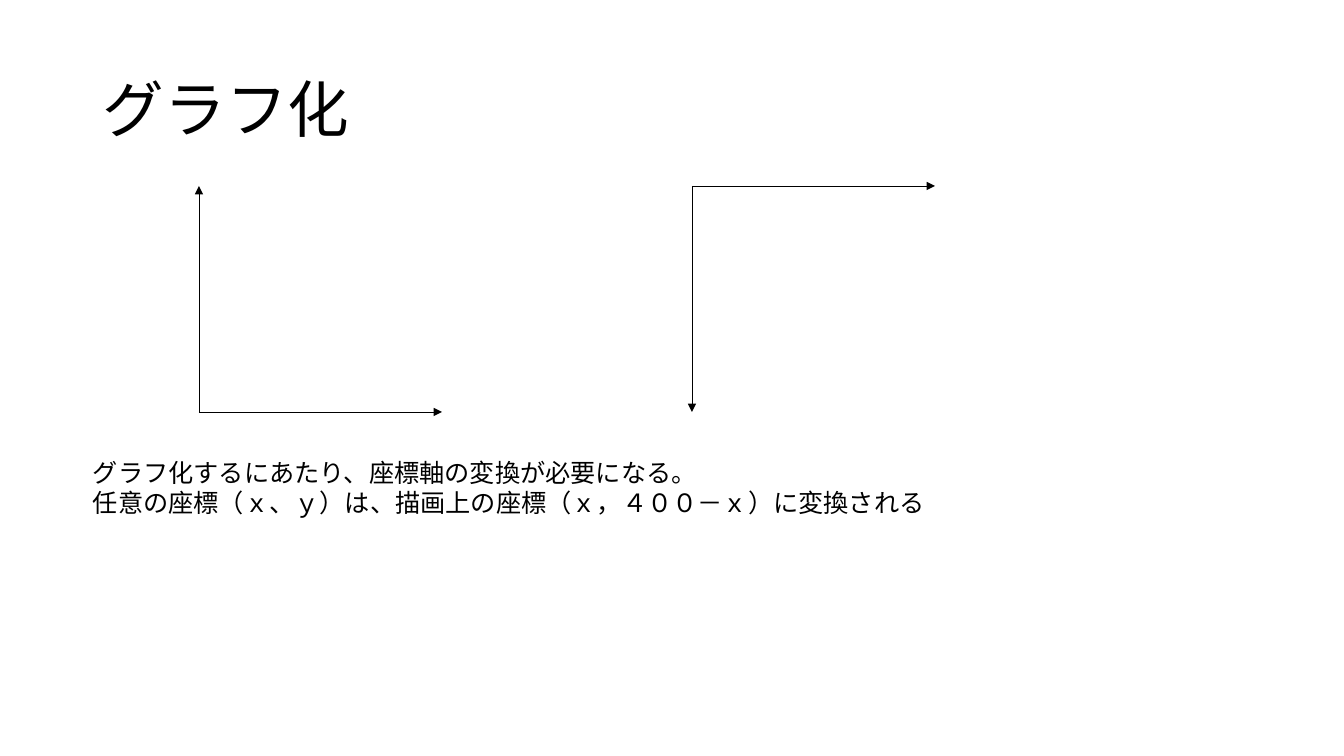
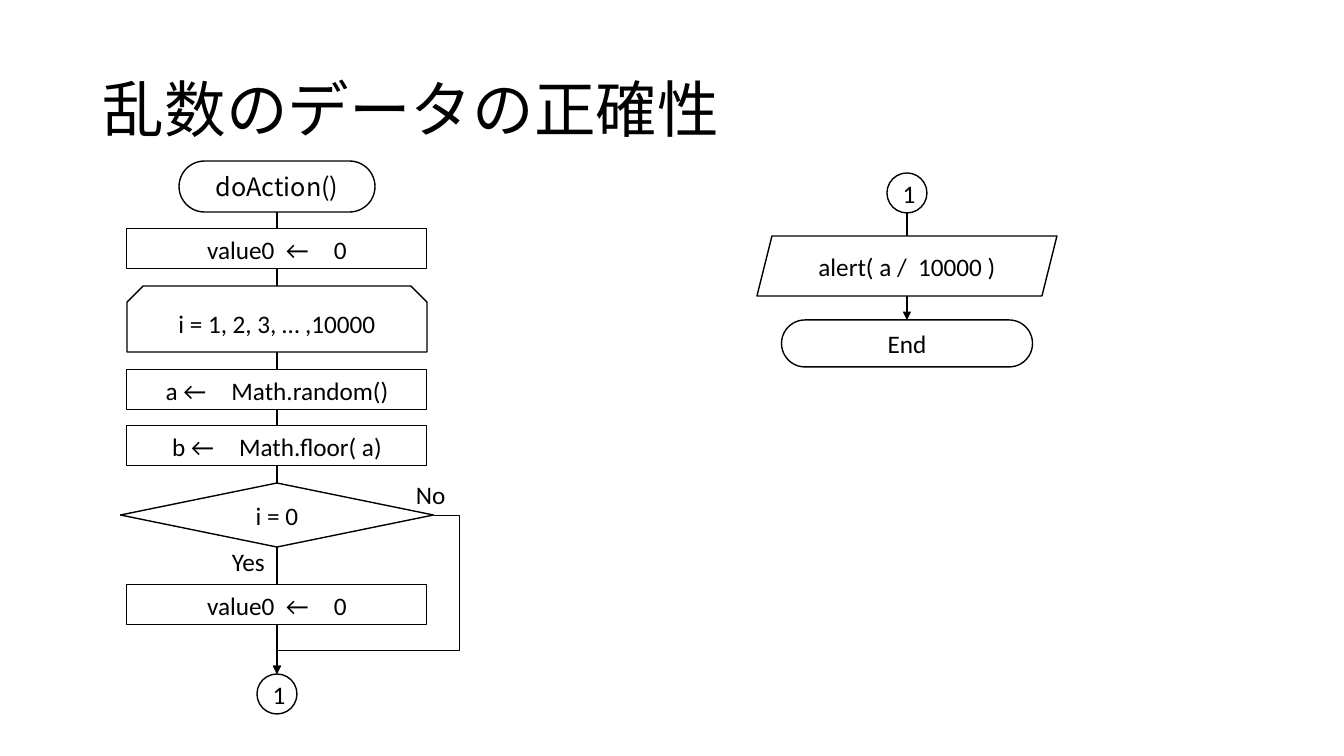
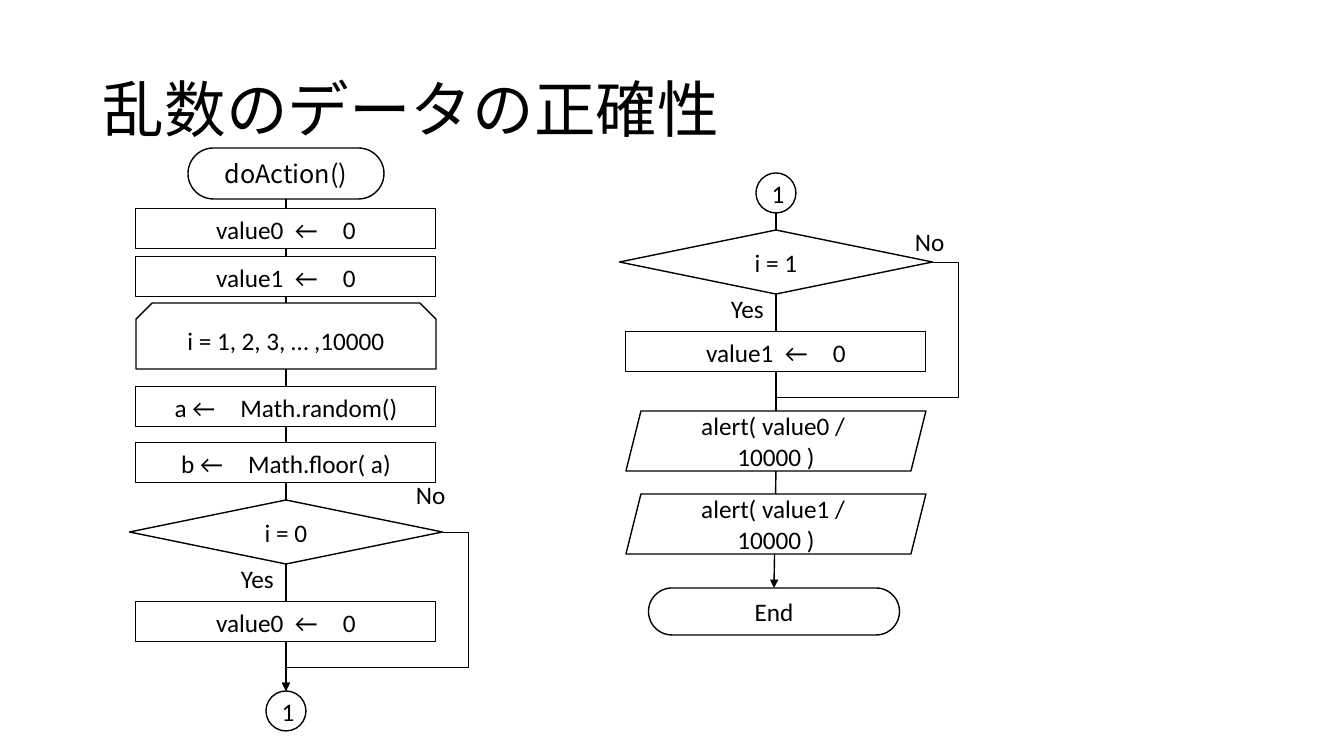
from lxml import etree
from pptx import Presentation
from pptx.dml.color import RGBColor
from pptx.enum.shapes import MSO_CONNECTOR, MSO_SHAPE
from pptx.enum.text import MSO_ANCHOR, PP_ALIGN
from pptx.oxml.ns import qn
from pptx.util import Emu, Pt

STRAIGHT, ELBOW = MSO_CONNECTOR.STRAIGHT, MSO_CONNECTOR.ELBOW
TERMINAL = MSO_SHAPE.ROUNDED_RECTANGLE
PROCESS = MSO_SHAPE.RECTANGLE
LOOP = MSO_SHAPE.SNIP_2_SAME_RECTANGLE
DECISION = MSO_SHAPE.DIAMOND
OUTPUT = MSO_SHAPE.PARALLELOGRAM
CIRCLE = MSO_SHAPE.OVAL
LEFT, CENTER = PP_ALIGN.LEFT, PP_ALIGN.CENTER
TOP, MIDDLE = MSO_ANCHOR.TOP, MSO_ANCHOR.MIDDLE

BLACK, WHITE = "000000", "FFFFFF"
FONT, ASIAN_FONT = "Calibri", "Noto Sans CJK JP"
EMU_PER_PX = 914400 / 100.8

# Width, height, adjustments, line width and text anchor of each symbol
SYMBOLS = {
    PROCESS: (300, 40, (), 0.75, TOP),
    LOOP: (300, 66, (0.244, 0), 1, MIDDLE),
    DECISION: (313, 64, (), 1, MIDDLE),
    OUTPUT: (300, 60, (), 1, MIDDLE),
    CIRCLE: (40, 40, (), 1, MIDDLE),
}


def px(*values):
    return [Emu(round(v * EMU_PER_PX)) for v in values]


def rgb(color):
    return RGBColor.from_string(color)


def write(tf, text, size=18, font=FONT, align=LEFT, anchor=TOP, spacing=None):
    tf.word_wrap = True
    tf.vertical_anchor = anchor
    for i, line in enumerate(text.split("\n")):
        p = tf.paragraphs[0] if i == 0 else tf.add_paragraph()
        p.alignment = align
        p.line_spacing = spacing
        r = p.add_run()
        r.text = line
        r.font.size = Pt(size)
        r.font.name = font
        r.font.color.rgb = rgb(BLACK)
        etree.SubElement(r.font._element, qn("a:ea"), typeface=ASIAN_FONT)


def text_box(s, x, y, w, h, text, **fmt):
    write(s.shapes.add_textbox(*px(x, y, w, h)).text_frame, text, **fmt)


def new_slide(prs, title):
    s = prs.slides.add_slide(prs.slide_layouts[6])
    text_box(s, 93, 40, 1159, 146, title, size=44, anchor=MIDDLE, spacing=0.9)
    return s


def arrow(s, x1, y1, x2, y2, width=1, kind=STRAIGHT):
    line = s.shapes.add_connector(kind, *px(x1, y1, x2, y2))
    line.line.color.rgb = rgb(BLACK)
    line.line.width = Pt(width)
    etree.SubElement(line.line._get_or_add_ln(), qn("a:tailEnd"), type="triangle")
    etree.SubElement(line._element.spPr, qn("a:effectLst"))
    return line


def bypass(s, x1, y1, x2, y2):
    """Arrow that leaves to the right, goes down and comes back to the spine."""
    line = arrow(s, x1, y1, x2, y2, 0.5, ELBOW)
    geometry = line._element.spPr.find(qn("a:prstGeom"))
    geometry.set("prst", "bentConnector4")
    guides = geometry.find(qn("a:avLst"))
    if guides is None:
        guides = etree.SubElement(geometry, qn("a:avLst"))
    for name, value in (("adj1", -16100), ("adj2", 84900)):
        etree.SubElement(guides, qn("a:gd"), name=name, fmla=f"val {value}")


def draw_symbol(s, kind, cx, y, w, h, text, adjust, width, anchor, font=FONT):
    sp = s.shapes.add_shape(kind, *px(cx - w / 2, y, w, h))
    for i, value in enumerate(adjust):
        sp.adjustments[i] = value
    sp.shadow.inherit = False
    sp.fill.solid()
    sp.fill.fore_color.rgb = rgb(WHITE)
    sp.line.color.rgb = rgb(BLACK)
    sp.line.width = Pt(width)
    write(sp.text_frame, text, font=font, align=CENTER, anchor=anchor)


def symbol(s, kind, cx, y, text):
    w, h, adjust, width, anchor = SYMBOLS[kind]
    draw_symbol(s, kind, cx, y, w, h, text, adjust, width, anchor)


def terminal(s, cx, y, w, h, text, font=FONT):
    draw_symbol(s, TERMINAL, cx, y, w, h, text, (0.5,), 1, MIDDLE, font)


def end(s, cx, y):
    terminal(s, cx, y, 251, 47, "End")


def branch(s, cx, y, condition, action, no_offset=(129, -9)):
    """Decision, its Yes action below and the No way round it."""
    symbol(s, DECISION, cx, y, condition)
    text_box(s, cx - 55, y + 58, 111, 40, "Yes")
    text_box(s, cx + no_offset[0], y + no_offset[1], 112, 40, "No")
    symbol(s, PROCESS, cx, y + 102, action)
    bypass(s, cx + 157, y + 32, cx, y + 191)


def main_flow(s, cx, start_y, loop_y, resets, **branch_format):
    """Flow from doAction() to connector 1; resets pairs tops with texts."""
    arrow(s, cx, start_y + 51, cx, loop_y + 388)
    terminal(s, cx, start_y, 196, 51, "doAction()", ASIAN_FONT)
    for y, text in resets:
        symbol(s, PROCESS, cx, y, text)
    symbol(s, LOOP, cx, loop_y, "i = 1, 2, 3, … ,10000")
    symbol(s, PROCESS, cx, loop_y + 84, "a ←　Math.random()")
    symbol(s, PROCESS, cx, loop_y + 140, "b ←　Math.floor( a)")
    symbol(s, CIRCLE, cx, loop_y + 388, "1")
    branch(s, cx, loop_y + 197, "i = 0", "value0  ←　0", **branch_format)


def axes_slide(prs):
    s = new_slide(prs, "グラフ化")
    # Axes with the origin at the bottom, then at the top
    for x, origin_y, far_y in ((199, 412, 186), (692, 186, 412)):
        arrow(s, x, origin_y, x + 243, origin_y, 0.5)
        arrow(s, x, origin_y, x, far_y, 0.5)
    text_box(s, 83, 452, 1169, 102,
             "グラフ化するにあたり、座標軸の変換が必要になる。\n"
             "任意の座標（ｘ、ｙ）は、描画上の座標（ｘ，４００－ｘ）に変換される")


def one_value_slide(prs):
    s = new_slide(prs, "乱数のデータの正確性")
    main_flow(s, 277, 161, 286, [(229, "value0  ←　0")])
    # Continuation
    cx = 907
    arrow(s, cx, 213, cx, 320)
    symbol(s, CIRCLE, cx, 173, "1")
    symbol(s, OUTPUT, cx, 236, "alert( a /  10000 )")
    end(s, cx, 320)


def two_values_slide(prs):
    s = new_slide(prs, "乱数のデータの正確性")
    main_flow(s, 286, 148, 303, [(209, "value0  ←　0"), (257, "value1  ←　0")],
              no_offset=(120, -26))
    # Continuation
    cx = 776
    arrow(s, cx, 213, cx, 421)
    symbol(s, CIRCLE, cx, 173, "1")
    branch(s, cx, 230, "i = 1", "value1  ←　0")
    arrow(s, cx, 471, cx - 2, 588)
    for i in range(2):
        symbol(s, OUTPUT, cx, 411 + 83 * i, f"alert( value{i} /  10000 )")
    end(s, cx - 2, 588)


def main():
    prs = Presentation()
    prs.slide_width, prs.slide_height = px(1344, 756)
    axes_slide(prs)
    one_value_slide(prs)
    two_values_slide(prs)
    prs.save("out.pptx")


main()
